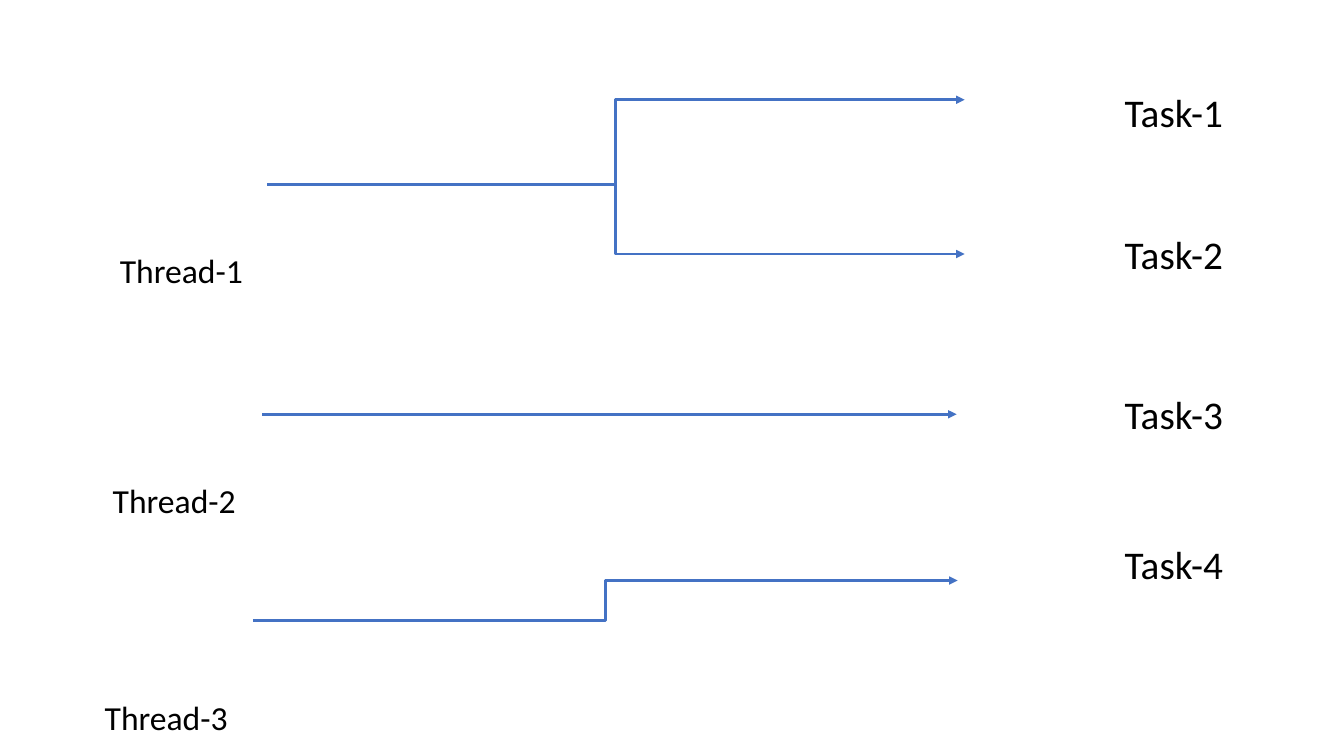
from lxml import etree
from pptx import Presentation
from pptx.dml.color import RGBColor
from pptx.enum.shapes import MSO_CONNECTOR
from pptx.enum.text import MSO_AUTO_SIZE
from pptx.oxml.ns import qn
from pptx.util import Inches, Pt

STRAIGHT, ELBOW = MSO_CONNECTOR.STRAIGHT, MSO_CONNECTOR.ELBOW
GROW = MSO_AUTO_SIZE.SHAPE_TO_FIT_TEXT
COLORS = {"text": "000000", "arrow": "4472C4"}
FONT = "Calibri"
WIDTH, HEIGHT = Inches(13.33), Inches(7.5)
COLUMNS, ROWS = 40, 30

# Regions: left column and top row
THREAD_REGION = (2.82, 9.72)
ARROW_REGION = (7.53, 3.96)
TASK_REGION = (33.18, 3.32)

# Offsets within each region, in columns and rows
THREADS = [(0.45, 0, 4.53), (0.24, 9.12, 4.35), (0, 17.72, 4.35)]
TASK_ROWS = [0, 5.64, 11.96, 17.92]
FORK = (0.42, 3.36)
ARROWS = [
    (ELBOW, FORK, (21.18, 0)),
    (ELBOW, FORK, (21.18, 6.12)),
    (STRAIGHT, (0.27, 12.48), (20.94, 12.48)),
    (ELBOW, (0, 20.68), (20.97, 19.08)),
]


def across(columns):
    return round(WIDTH * columns / COLUMNS)


def down(rows):
    return round(HEIGHT * rows / ROWS)


def add_label(page, text, left, top, width, height, size, wrap=True):
    box = page.shapes.add_textbox(
        across(left), down(top), across(width), down(height))
    frame = box.text_frame
    frame.word_wrap = wrap
    frame.auto_size = GROW
    span = frame.paragraphs[0].add_run()
    span.text = text
    span.font.name = FONT
    span.font.size = Pt(size)
    span.font.color.rgb = RGBColor.from_string(COLORS["text"])


def add_arrow(page, kind, start, end):
    arrow = page.shapes.add_connector(
        kind, across(start[0]), down(start[1]), across(end[0]), down(end[1]))
    arrow.line.width = Pt(2)
    arrow.line.color.rgb = RGBColor.from_string(COLORS["arrow"])
    properties = arrow.element.spPr
    etree.SubElement(properties.find(qn("a:ln")), qn("a:tailEnd"), type="triangle")
    etree.SubElement(properties, qn("a:effectLst"))


def add_threads(page, left, top):
    for number, (column, row, width) in enumerate(THREADS, 1):
        add_label(page, f"Thread-{number}", left + column, top + row,
                  width, 2, size=24)


def add_tasks(page, left, top):
    for number, row in enumerate(TASK_ROWS, 1):
        add_label(page, f"Task-{number}", left, top + row,
                  3.57, 2.28, size=28, wrap=False)


def add_arrows(page, left, top):
    for kind, start, end in ARROWS:
        add_arrow(page, kind, (left + start[0], top + start[1]),
                  (left + end[0], top + end[1]))


def main():
    deck = Presentation()
    deck.slide_width, deck.slide_height = WIDTH, HEIGHT
    page = deck.slides.add_slide(deck.slide_layouts[6])
    add_threads(page, *THREAD_REGION)
    add_tasks(page, *TASK_REGION)
    add_arrows(page, *ARROW_REGION)
    deck.save("out.pptx")


if __name__ == "__main__":
    main()
